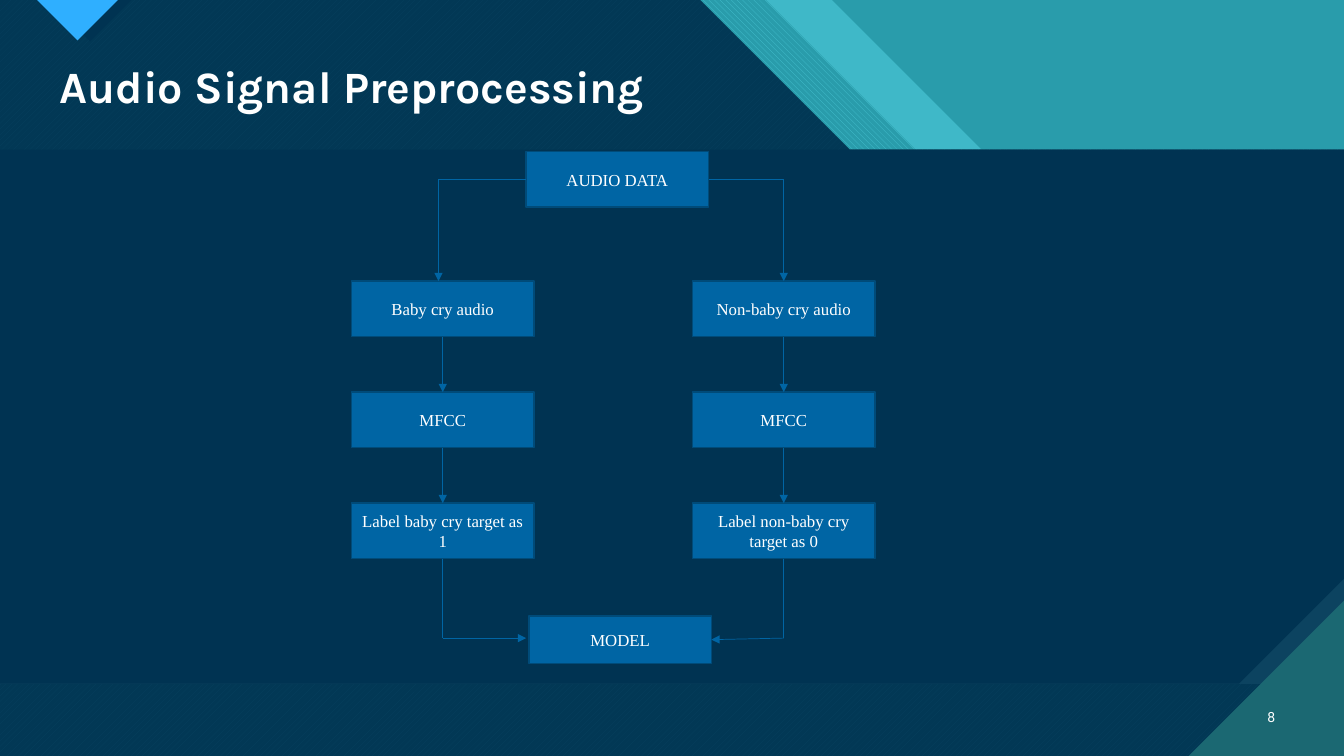
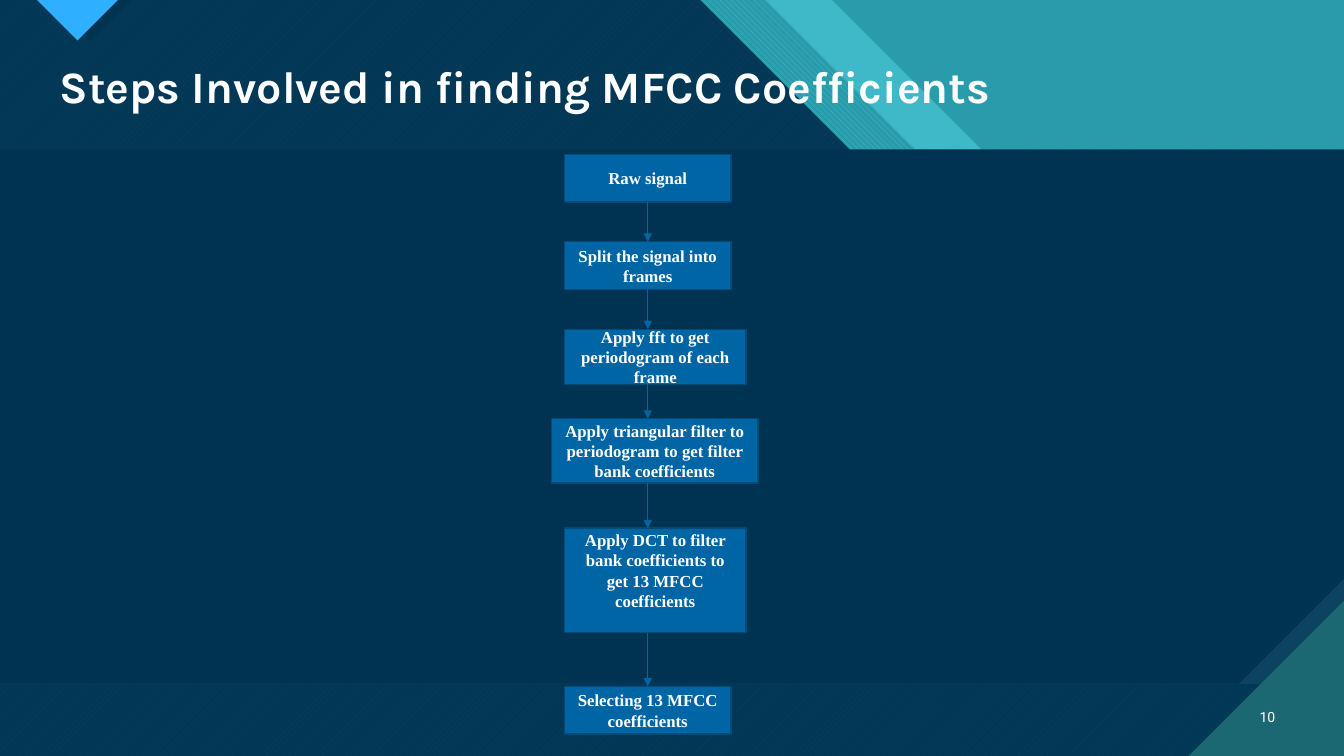
from dataclasses import dataclass
from itertools import pairwise

from lxml.etree import SubElement
from pptx import Presentation
from pptx.dml.color import RGBColor
from pptx.dml.fill import FillFormat
from pptx.enum.dml import MSO_PATTERN
from pptx.enum.shapes import MSO_CONNECTOR, MSO_SHAPE
from pptx.enum.text import MSO_ANCHOR, MSO_AUTO_SIZE, PP_ALIGN
from pptx.oxml.ns import qn
from pptx.slide import Slide, SlideLayout
from pptx.text.text import TextFrame
from pptx.util import Pt

WIDTH, HEIGHT = 960, 540
HEADER, FOOTER = 106.9, 488.4
SNIP, CORNER = 75, 111
NAVY, NAVY_LIGHT = "003352", "0C4360"
TEAL, TEAL_LIGHT, TEAL_DARK = "299CAB", "47C3D3", "1B6872"
BRIGHT, BLUE, BLUE_DARK, WHITE = "2FAFFF", "0065A4", "004B79", "FFFFFF"

Point = tuple[float, float]


@dataclass
class Layer:
    points: list[Point]
    color: str
    alpha: int = 100
    pattern: MSO_PATTERN | None = None
    back: str = WHITE


@dataclass
class Node:
    text: str
    left: float
    top: float
    width: float = 130.3
    height: float = 39.6
    bold: bool = False
    inset: tuple[float, float] = (3.6, 3.6)

    @property
    def center(self) -> float:
        return self.left + self.width / 2

    @property
    def middle(self) -> float:
        return self.top + self.height / 2

    @property
    def right(self) -> float:
        return self.left + self.width

    @property
    def bottom(self) -> float:
        return self.top + self.height


def rgb(color: str) -> RGBColor:
    return RGBColor.from_string(color)


def paint(fill: FillFormat, color: str) -> None:
    fill.solid()
    fill.fore_color.rgb = rgb(color)


def band(edge: float) -> list[Point]:
    return [(0, 0), (edge, 0), (edge + HEADER, HEADER), (WIDTH, HEADER), (WIDTH, HEIGHT), (0, HEIGHT)]


def pointer(left: float, depth: float) -> list[Point]:
    return [(left, 0), (left + 2 * depth, 0), (left + depth, depth)]


LAYERS = [
    Layer(band(594.2), TEAL_LIGHT, alpha=74),
    Layer(band(547), TEAL_LIGHT, pattern=MSO_PATTERN.WIDE_DOWNWARD_DIAGONAL, back=TEAL),
    Layer(band(500), TEAL_LIGHT, pattern=MSO_PATTERN.WIDE_UPWARD_DIAGONAL, back=TEAL_DARK),
    Layer(band(500), NAVY, alpha=90),
    Layer(pointer(34.9, 29.5), NAVY),
    Layer(pointer(26.6, 28.8), BRIGHT),
    Layer([(0, HEADER), (WIDTH, HEADER), (WIDTH, FOOTER), (0, FOOTER)], NAVY_LIGHT),
    Layer([(0, HEADER), (WIDTH, HEADER), (WIDTH, FOOTER - SNIP), (WIDTH - SNIP, FOOTER), (0, FOOTER)], NAVY),
    Layer([(WIDTH - CORNER, HEIGHT), (WIDTH, HEIGHT), (WIDTH, HEIGHT - CORNER)], TEAL_DARK),
]


def decorate_layout(layout: SlideLayout, slide: Slide) -> None:
    paint(layout.background.fill, TEAL)
    for index, layer in enumerate(LAYERS):
        start, *others = [(Pt(x), Pt(y)) for x, y in layer.points]
        builder = slide.shapes.build_freeform(*start)
        builder.add_line_segments(others)
        shape = builder.convert_to_shape()
        shape.shadow.inherit = False
        shape.line.fill.background()
        if layer.pattern is None:
            paint(shape.fill, layer.color)
        else:
            shape.fill.patterned()
            shape.fill.pattern = layer.pattern
            shape.fill.fore_color.rgb = rgb(layer.color)
            shape.fill.back_color.rgb = rgb(layer.back)
        if layer.alpha < 100:
            color = shape.element.spPr.find(f".//{qn('a:srgbClr')}")
            SubElement(color, qn("a:alpha")).set("val", str(layer.alpha * 1000))
        shape.element.find(f".//{qn('p:cNvPr')}").set("id", str(100 + index))
        layout.shapes.element.insert(2 + index, shape.element)


def write(frame: TextFrame, text: str, size: float, font: str, align: PP_ALIGN,
          anchor: MSO_ANCHOR = MSO_ANCHOR.MIDDLE, bold: bool = False) -> None:
    frame.text = text
    frame.word_wrap = True
    frame.vertical_anchor = anchor
    para = frame.paragraphs[0]
    para.alignment = align
    span = para.runs[0]
    span.font.size = Pt(size)
    span.font.name = font
    span.font.bold = bold
    span.font.color.rgb = rgb(WHITE)


def add_heading(page: Slide, text: str, number: int) -> None:
    title = page.shapes.title
    title.left, title.top, title.width, title.height = Pt(35.4), Pt(42.5), Pt(882.7), Pt(42.5)
    write(title.text_frame, text, 32, "Karla", PP_ALIGN.LEFT, MSO_ANCHOR.TOP, True)
    title.text_frame.auto_size = MSO_AUTO_SIZE.SHAPE_TO_FIT_TEXT
    para = title.text_frame.paragraphs[0]
    para.line_spacing = 0.9
    para.space_before = Pt(0)
    para.runs[0].font.element.set("spc", "-70") if hasattr(para.runs[0].font, "element") else None
    box = page.shapes.add_textbox(Pt(886.3), Pt(497.5), Pt(31.7), Pt(28.8))
    write(box.text_frame, str(number), 10, "Roboto", PP_ALIGN.RIGHT)


def add_node(page: Slide, node: Node) -> None:
    box = page.shapes.add_shape(
        MSO_SHAPE.RECTANGLE, Pt(node.left), Pt(node.top), Pt(node.width), Pt(node.height))
    box.shadow.inherit = False
    paint(box.fill, BLUE)
    paint(box.line.fill, BLUE_DARK)
    box.line.width = Pt(1)
    write(box.text_frame, node.text, 12, "Times New Roman", PP_ALIGN.CENTER, bold=node.bold)
    box.text_frame.margin_top, box.text_frame.margin_bottom = map(Pt, node.inset)


def add_line(page: Slide, start: Point, end: Point, arrow: bool = True) -> None:
    line = page.shapes.add_connector(MSO_CONNECTOR.STRAIGHT, *map(Pt, start + end))
    paint(line.line.fill, BLUE)
    line.line.width = Pt(0.5)
    properties = line.element.spPr
    if arrow:
        SubElement(properties.find(qn("a:ln")), qn("a:tailEnd")).set("type", "triangle")
    SubElement(properties, qn("a:effectLst"))


def link_down(page: Slide, nodes: list[Node], x: float) -> None:
    for upper, lower in pairwise(nodes):
        add_line(page, (x, upper.bottom), (x, lower.top))


def draw_preprocessing(page: Slide) -> None:
    add_heading(page, "Audio Signal Preprocessing", 8)
    source = Node("AUDIO DATA", 375.8, 108.3)
    model = Node("MODEL", 377.8, 440, height=33.8)
    columns = [
        (251.1, ["Baby cry audio", "MFCC", "Label baby cry target as 1"]),
        (494.7, ["Non-baby cry audio", "MFCC", "Label non-baby cry target as 0"]),
    ]
    branches = [
        [Node(text, left, 200.8 + 79.3 * row) for row, text in enumerate(texts)]
        for left, texts in columns
    ]
    for node in [source, model, *branches[0], *branches[1]]:
        add_node(page, node)
    exits = [(source.left, 313.2), (source.right, branches[1][0].center)]
    entries = [(375.8, 455.8), (model.right, model.middle)]
    for branch, (side, turn), entry in zip(branches, exits, entries):
        add_line(page, (side, source.middle), (turn, source.middle), arrow=False)
        add_line(page, (turn, source.middle), (turn, branch[0].top))
        link_down(page, branch, branch[0].center)
        corner = (branch[-1].center, 455.8)
        add_line(page, (branch[-1].center, branch[-1].bottom), corner, arrow=False)
        add_line(page, corner, entry)


def draw_coefficients(page: Slide) -> None:
    add_heading(page, "Steps Involved in finding MFCC Coefficients", 10)
    steps = [
        Node("Raw signal", 403.3, 110.2, 118.8, 34, True),
        Node("Split the signal into frames", 403.3, 172.7, 118.8, 34, True),
        Node("Apply fft to get periodogram of each frame", 403.3, 235.2, 129.6, 39.4, True),
        Node("Apply triangular filter to periodogram to get filter bank coefficients",
             394, 299, 147.5, 46, True),
        Node("Apply DCT to filter bank coefficients to get 13 MFCC coefficients",
             403.3, 377.3, 129.6, 74.5, True, (0, 14.4)),
        Node("Selecting 13 MFCC coefficients", 403.3, 490.3, 118.8, 34, True),
    ]
    for step in steps:
        add_node(page, step)
    link_down(page, steps, steps[0].center)


def main() -> None:
    deck = Presentation()
    deck.slide_width, deck.slide_height = Pt(WIDTH), Pt(HEIGHT)
    layout = deck.slide_layouts.get_by_name("Title Only")
    pages = [deck.slides.add_slide(layout) for _ in range(2)]
    decorate_layout(layout, pages[0])
    for draw, page in zip([draw_preprocessing, draw_coefficients], pages):
        draw(page)
    deck.save("out.pptx")


if __name__ == "__main__":
    main()
